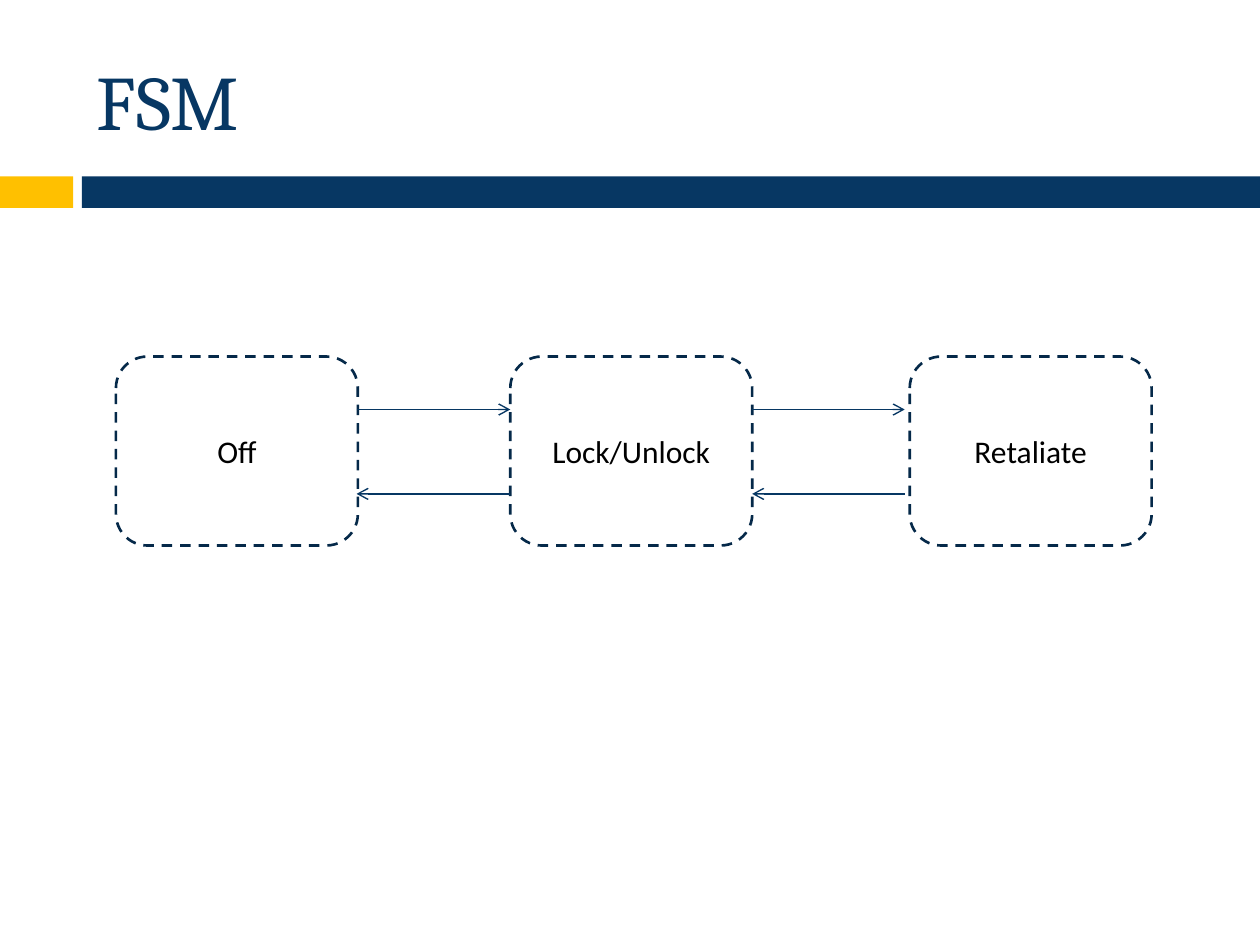
"""Build the FSM slide: three states joined by arrows in both directions."""
from pptx import Presentation
from pptx.dml.color import RGBColor
from pptx.enum.dml import MSO_LINE
from pptx.enum.shapes import MSO_CONNECTOR, MSO_SHAPE
from pptx.enum.text import MSO_ANCHOR, PP_ALIGN
from pptx.oxml.ns import qn
from pptx.util import Inches, Pt
from lxml.etree import SubElement

NAVY = "073763"


def color(value):
    return RGBColor.from_string(value)


def write(shape, text, font_name, size, text_color, alignment):
    frame = shape.text_frame
    frame.word_wrap = True
    frame.vertical_anchor = MSO_ANCHOR.MIDDLE
    paragraph = frame.paragraphs[0]
    paragraph.text = text
    paragraph.alignment = alignment
    paragraph.font.name = font_name
    paragraph.font.size = Pt(size)
    paragraph.font.color.rgb = color(text_color)


presentation = Presentation()
presentation.slide_width = Inches(10)
presentation.slide_height = Inches(7.5)
slide = presentation.slides.add_slide(presentation.slide_layouts[6])
shapes = slide.shapes

for left, width, fill in [(0, 0.58, "FFC000"), (0.65, 9.35, NAVY)]:
    bar = shapes.add_shape(MSO_SHAPE.RECTANGLE, Inches(left), Inches(1.4), Inches(width), Inches(0.25))
    bar.shadow.inherit = False
    bar.fill.solid()
    bar.fill.fore_color.rgb = color(fill)
    bar.line.fill.background()

title = shapes.add_textbox(Inches(0.67), Inches(0.25), Inches(8.92), Inches(1.08))
write(title, "FSM", "Cambria", 44, NAVY, PP_ALIGN.LEFT)

for left, name in [(0.92, "Off"), (4.05, "Lock/Unlock"), (7.22, "Retaliate")]:
    state = shapes.add_shape(MSO_SHAPE.ROUNDED_RECTANGLE, Inches(left), Inches(2.83), Inches(1.92), Inches(1.5))
    state.shadow.inherit = False
    state.fill.background()
    state.line.color.rgb = color("052949")
    state.line.width = Pt(1.5)
    state.line.dash_style = MSO_LINE.DASH
    write(state, name, "Calibri", 18, "000000", PP_ALIGN.CENTER)

for left, right in [(2.83, 4.05), (5.97, 7.18)]:
    for start, end, y in [(left, right, 3.25), (right, left, 3.92)]:
        arrow = shapes.add_connector(MSO_CONNECTOR.STRAIGHT, Inches(start), Inches(y), Inches(end), Inches(y))
        arrow.line.color.rgb = color(NAVY)
        arrow.line.width = Pt(0.79)
        SubElement(arrow.line._get_or_add_ln(), qn("a:tailEnd"), type="arrow")
        SubElement(arrow._element.spPr, qn("a:effectLst"))

presentation.save("out.pptx")
